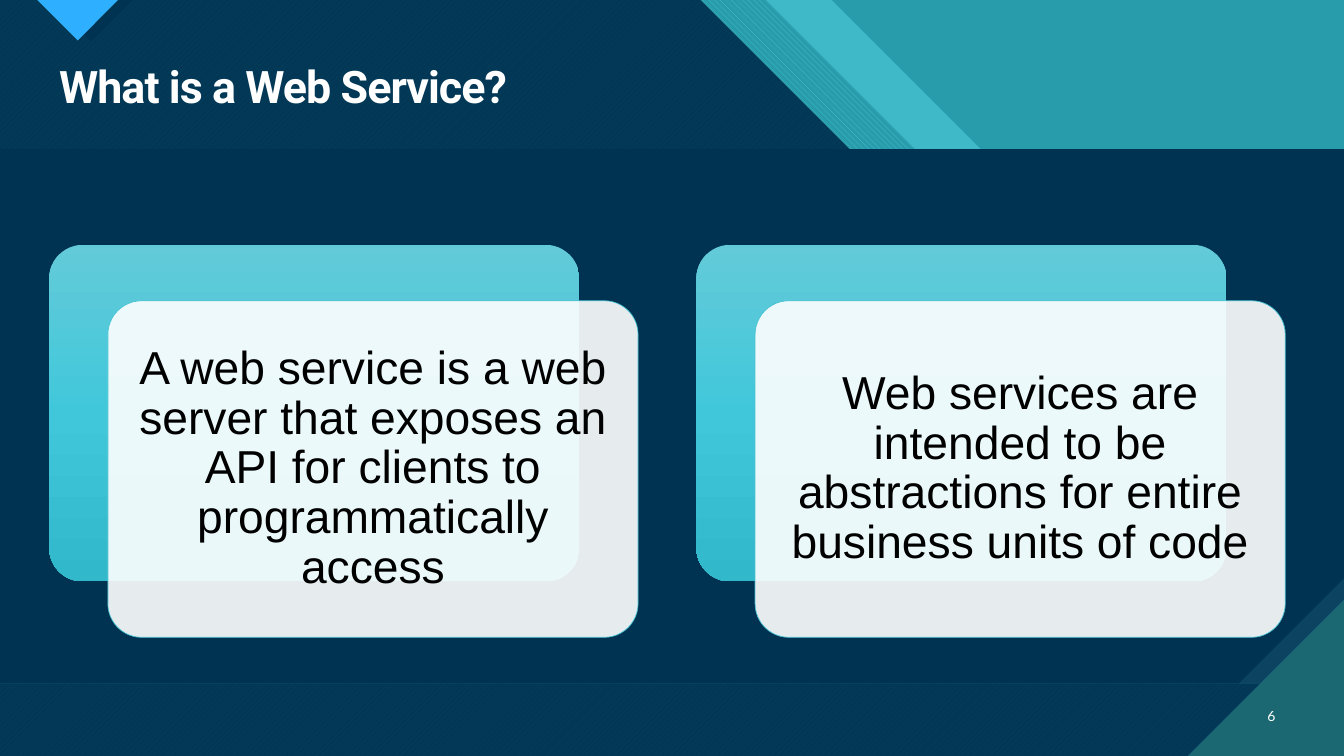
from copy import deepcopy
from dataclasses import dataclass

from lxml.etree import SubElement
from pptx import Presentation
from pptx.dml.color import RGBColor as RGB
from pptx.enum.dml import MSO_PATTERN as PATTERN
from pptx.enum.shapes import MSO_SHAPE as SHAPE
from pptx.enum.text import MSO_ANCHOR as ANCHOR, PP_ALIGN as ALIGN
from pptx.oxml.ns import qn
from pptx.util import Cm, Pt


@dataclass(frozen=True)
class Theme:
    """Colours, fonts and type sizes of the deck."""
    navy: str = "003352"
    steel: str = "0C4360"
    pine: str = "1B6872"
    teal: str = "299CAB"
    aqua: str = "47C3D3"
    azure: str = "2FAFFF"
    white: str = "FFFFFF"
    black: str = "000000"
    card_stops: tuple = ("63CAD9", "40C8DA", "31B8CA")
    title_font: str = "Roboto"
    body_font: str = "Arial"
    number_font: str = "Lato"
    title_size: int = 32
    body_size: int = 33
    number_size: int = 10


class Deck:
    """Holds the theme and the current slide, and draws elements on it."""

    def __init__(self, prs, theme):
        """Add a blank slide with the theme's background."""
        self.theme = theme
        self.slide = prs.slides.add_slide(prs.slide_layouts[6])
        fill = self.slide.background.fill
        fill.solid()
        fill.fore_color.rgb = RGB.from_string(theme.teal)

    def paint(self, sp, color, back=None, pattern=None, alpha=None):
        """Fill a shape with a colour or a pattern, without line or shadow."""
        sp.shadow.inherit = False
        sp.line.fill.background()
        if pattern is None:
            sp.fill.solid()
        else:
            sp.fill.patterned()
            sp.fill.pattern = pattern
            sp.fill.back_color.rgb = RGB.from_string(back)
        sp.fill.fore_color.rgb = RGB.from_string(color)
        if alpha is not None:
            clr = sp._element.spPr.find(qn("a:solidFill"))[0]
            SubElement(clr, qn("a:alpha")).set("val", str(alpha * 1000))

    def polygon(self, points, color, **fill):
        """Draw a closed outline through points given in centimetres."""
        start, *rest = [(Cm(x), Cm(y)) for x, y in points]
        builder = self.slide.shapes.build_freeform(*start)
        builder.add_line_segments(rest, close=True)
        self.paint(builder.convert_to_shape(), color, **fill)

    def box(self, shape, x, y, w, h, color, **fill):
        """Draw a preset shape and return it."""
        sp = self.slide.shapes.add_shape(shape, Cm(x), Cm(y), Cm(w), Cm(h))
        self.paint(sp, color, **fill)
        return sp

    def gradient(self, sp, colors):
        """Fill a shape from top to bottom with three even colour stops."""
        sp.fill.gradient()
        sp.fill.gradient_angle = 270
        gs_lst = sp._element.spPr.find(".//" + qn("a:gsLst"))
        gs_lst.insert(1, deepcopy(gs_lst[0]))
        for i, (stop, color) in enumerate(zip(sp.fill.gradient_stops, colors)):
            stop.position = i / 2
            stop.color.rgb = RGB.from_string(color)

    def set_text(self, sp, text, font, size, color, align, bold=False):
        """Put one vertically centred paragraph into a shape."""
        tf = sp.text_frame
        tf.word_wrap = True
        tf.vertical_anchor = ANCHOR.MIDDLE
        p = tf.paragraphs[0]
        p.alignment = align
        p.line_spacing = 0.9
        r = p.add_run()
        r.text = text
        r.font.name = font
        r.font.size = Pt(size)
        r.font.bold = bold
        r.font.color.rgb = RGB.from_string(color)
        return r

    def label(self, x, y, w, h, *args, **kwargs):
        """Add a text box and return its run."""
        sp = self.slide.shapes.add_textbox(Cm(x), Cm(y), Cm(w), Cm(h))
        return self.set_text(sp, *args, **kwargs)

    def card(self, x, y, text):
        """Draw a gradient card with a translucent text card in front."""
        t, w, h = self.theme, 13.36, 8.48
        rear = self.box(SHAPE.ROUNDED_RECTANGLE, x, y, w, h, t.aqua)
        self.gradient(rear, t.card_stops)
        front = self.box(SHAPE.ROUNDED_RECTANGLE, x + 1.48, y + 1.41, w, h,
                         t.white, alpha=90)
        front.line.color.rgb = RGB.from_string(t.aqua)
        front.line.width = Pt(0.5)
        for sp in (rear, front):
            sp.adjustments[0] = 0.1
        tf = front.text_frame
        tf.margin_left = tf.margin_right = Cm(0.36)
        tf.margin_top = tf.margin_bottom = Cm(0.36)
        self.set_text(front, text, t.body_font, t.body_size, t.black,
                      ALIGN.CENTER)


WIDTH, HEIGHT = 33.87, 19.05
PANEL_TOP, PANEL_BOTTOM, SNIP = 3.76, 17.22, 2.65
CORNER = 3.92
BAND_DROP = 7.6
CARD_LEFT, CARD_TOP, CARD_PITCH = 1.24, 6.17, 16.31
CARDS = (
    "A web service is a web server that exposes an API for clients to "
    "programmatically access",
    "Web services are intended to be abstractions for entire business units "
    "of code",
)


def draw_backdrop(deck):
    """Draw the slanted header bands, the body panel and the corners."""
    t = deck.theme
    bands = (
        (20.96, t.aqua, dict(alpha=74)),
        (19.3, t.aqua, dict(back=t.teal, pattern=PATTERN.WIDE_DOWNWARD_DIAGONAL)),
        (17.65, t.aqua, dict(back=t.pine, pattern=PATTERN.WIDE_UPWARD_DIAGONAL)),
        (17.65, t.navy, dict(alpha=90)),
    )
    for edge, color, fill in bands:
        deck.polygon([(0, 0), (edge, 0), (edge + BAND_DROP, BAND_DROP),
                      (WIDTH, BAND_DROP), (WIDTH, HEIGHT), (0, HEIGHT)],
                     color, **fill)
    deck.polygon([(1.22, 0), (3.33, 0), (2.29, 1.04)], t.navy)
    deck.polygon([(0.94, 0), (2.97, 0), (1.96, 1.02)], t.azure,
                 back=t.pine, pattern=PATTERN.DARK_HORIZONTAL)
    deck.box(SHAPE.RECTANGLE, 0, PANEL_TOP, WIDTH, PANEL_BOTTOM - PANEL_TOP,
             t.steel, back=t.pine, pattern=PATTERN.DARK_VERTICAL)
    deck.polygon([(0, PANEL_TOP), (WIDTH, PANEL_TOP),
                  (WIDTH, PANEL_BOTTOM - SNIP), (WIDTH - SNIP, PANEL_BOTTOM),
                  (0, PANEL_BOTTOM)], t.navy)
    deck.polygon([(WIDTH - CORNER, HEIGHT), (WIDTH, HEIGHT),
                  (WIDTH, HEIGHT - CORNER)], t.pine,
                 back=t.aqua, pattern=PATTERN.DARK_HORIZONTAL)


def main():
    """Build the slide and save it."""
    prs = Presentation()
    prs.slide_width, prs.slide_height = Cm(WIDTH), Cm(HEIGHT)
    t = Theme()
    deck = Deck(prs, t)
    draw_backdrop(deck)
    title = deck.label(1.24, 1.5, 31.14, 1.5, "What is a Web Service?",
                       t.title_font, t.title_size, t.white, ALIGN.LEFT,
                       bold=True)
    title.font._element.set("spc", "-70")
    deck.label(31.27, 17.55, 1.12, 1.02, "6", t.number_font, t.number_size,
               t.white, ALIGN.RIGHT)
    for i, text in enumerate(CARDS):
        deck.card(CARD_LEFT + i * CARD_PITCH, CARD_TOP, text)
    prs.save("out.pptx")


main()
